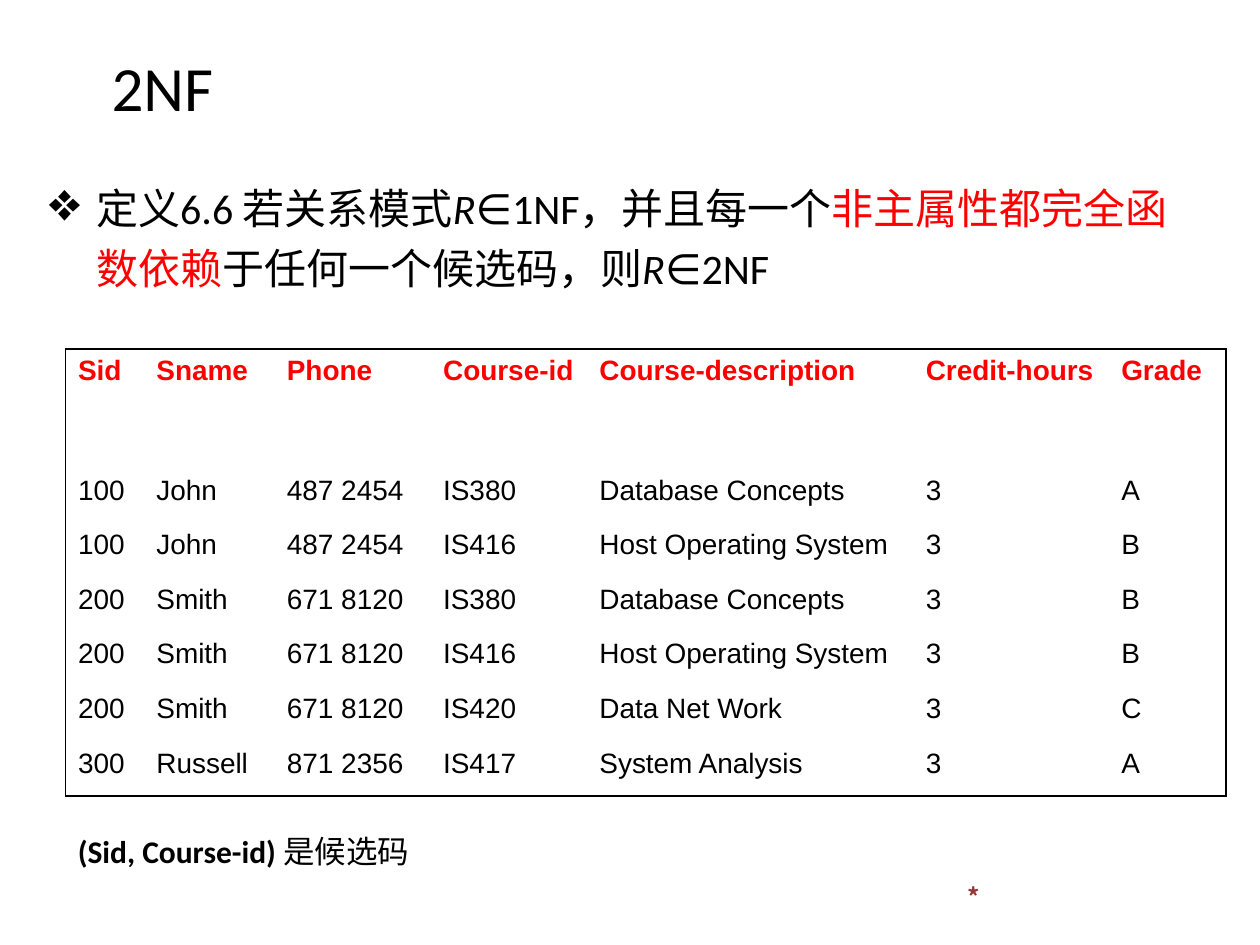
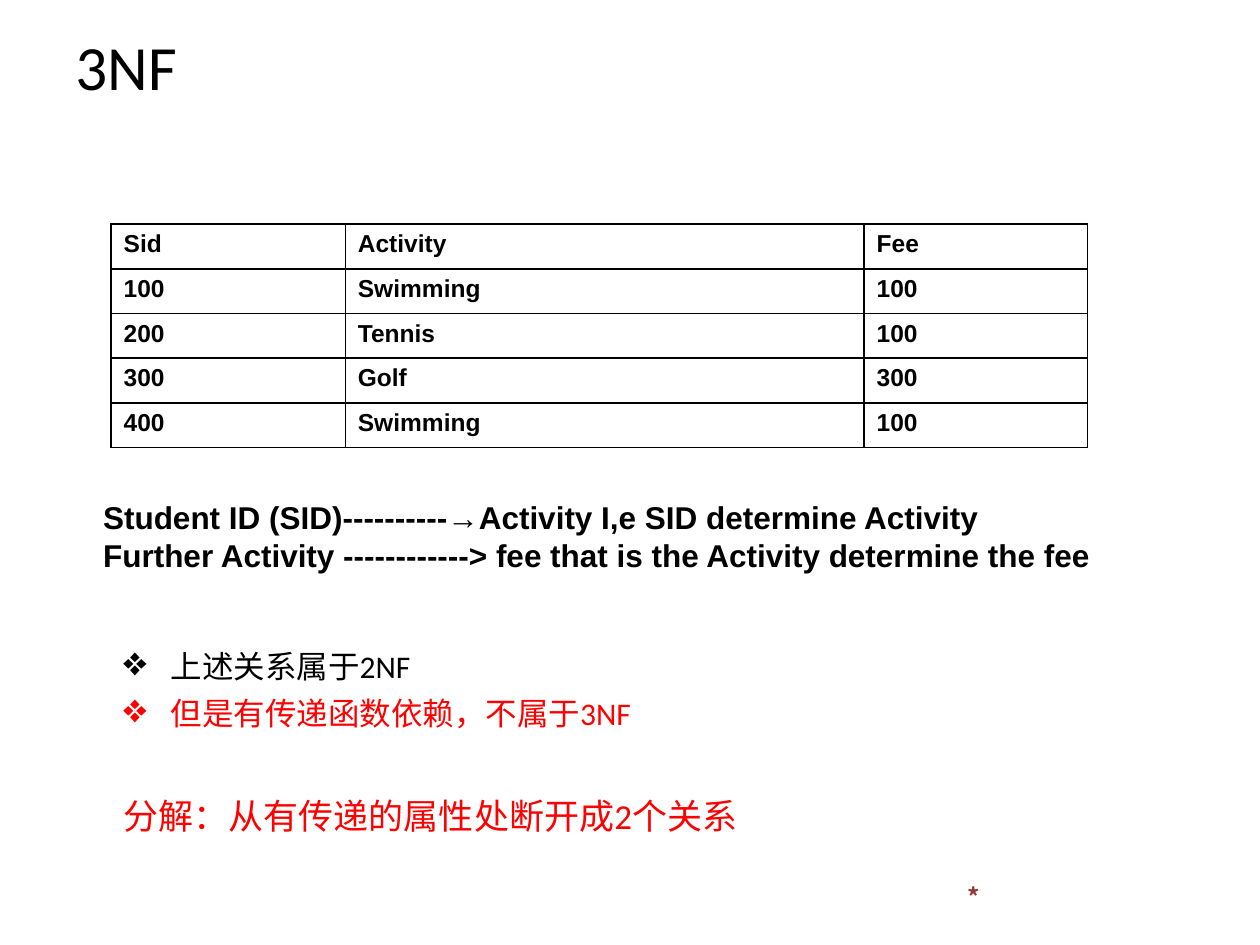
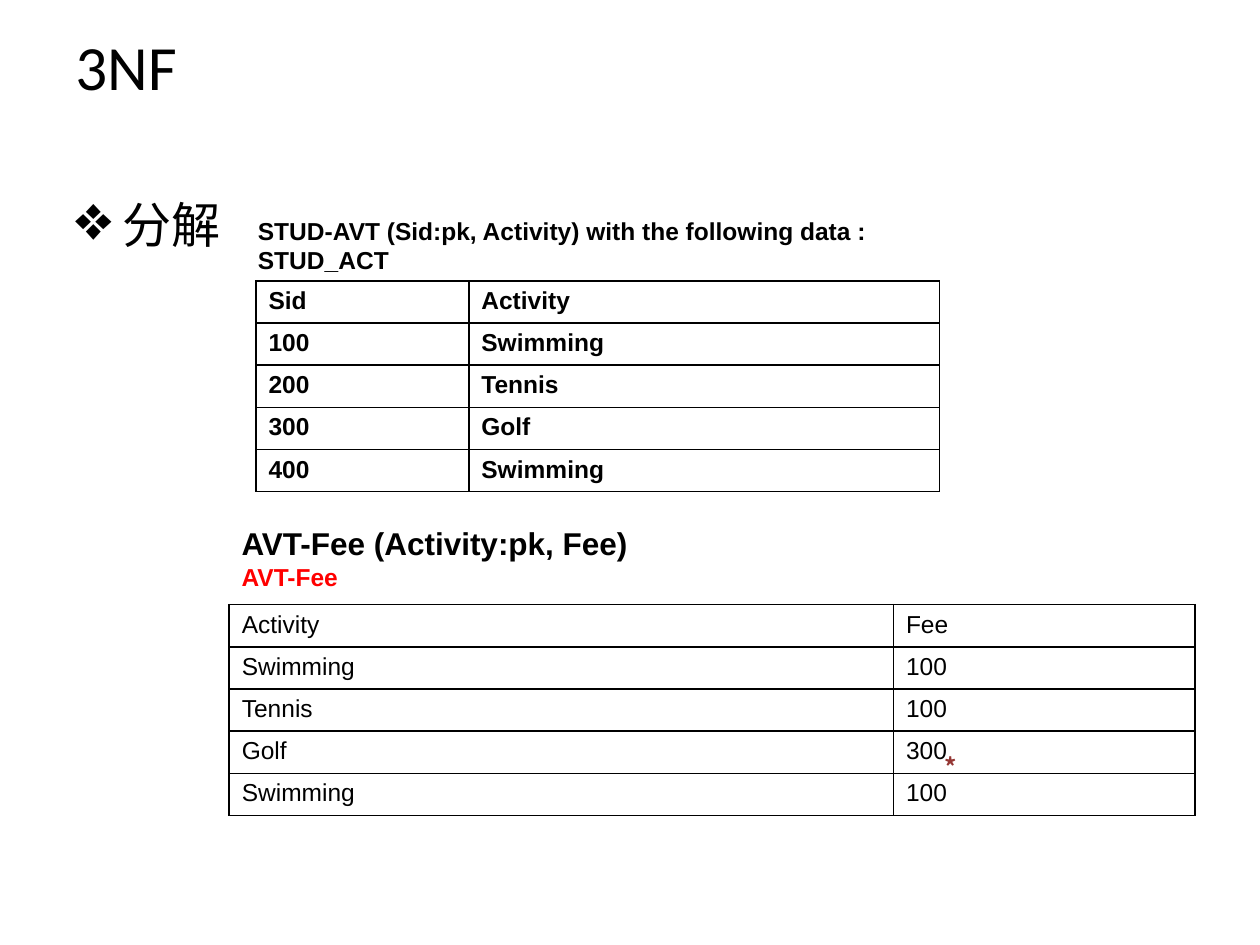
from dataclasses import dataclass

from lxml import etree
from pptx import Presentation
from pptx.dml.color import RGBColor
from pptx.enum.text import MSO_ANCHOR, PP_ALIGN
from pptx.oxml.ns import qn
from pptx.util import Cm, Pt

TOP, MIDDLE, LEFT = MSO_ANCHOR.TOP, MSO_ANCHOR.MIDDLE, PP_ALIGN.LEFT
BLANK_LAYOUT = 6
BULLET = "❖"
BULLET_INDENT = Cm(0.95)
BULLET_SCALE = "130000"


@dataclass(frozen=True)
class Theme:
    black: str = "000000"
    red: str = "FF0000"
    marker: str = "953734"
    body_font: str = "Calibri"
    table_font: str = "Arial"
    marker_font: str = "Noto Sans CJK SC"
    title_size: int = 36
    lead_size: int = 28
    definition_size: int = 24
    split_size: int = 20
    note_size: int = 18
    wide_table_size: int = 16
    small_size: int = 14
    border_width: int = 1


THEME = Theme()
RED = {"color": THEME.red}
ITALIC = {"italic": True}

# Content: a paragraph is a string, or a list of strings and (string, format) runs
DEFINITION = [[
    "定义6.6 若关系模式", ("R", ITALIC), "∈1NF，并且每一个",
    ("非主属性都完全函数依赖", RED), "于任何一个候选码，则", ("R", ITALIC), "∈2NF",
]]
CANDIDATE_KEY = [[("(Sid, Course-id) ", {"bold": True}), "是候选码"]]
ENROLMENTS = [
    ("Sid", "Sname", "Phone", "Course-id", "Course-description", "Credit-hours", "Grade"),
    ("100", "John", "487 2454", "IS380", "Database Concepts", "3", "A"),
    ("100", "John", "487 2454", "IS416", "Host Operating System", "3", "B"),
    ("200", "Smith", "671 8120", "IS380", "Database Concepts", "3", "B"),
    ("200", "Smith", "671 8120", "IS416", "Host Operating System", "3", "B"),
    ("200", "Smith", "671 8120", "IS420", "Data Net Work", "3", "C"),
    ("300", "Russell", "871 2356", "IS417", "System Analysis", "3", "A"),
]
ACTIVITY_FEES = [
    ("Sid", "Activity", "Fee"),
    ("100", "Swimming", "100"),
    ("200", "Tennis", "100"),
    ("300", "Golf", "300"),
    ("400", "Swimming", "100"),
]
STUDENT_ACTIVITIES = [row[:2] for row in ACTIVITY_FEES]
FEES = [row[1:] for row in ACTIVITY_FEES]
DEPENDENCIES = [
    "Student ID (SID)----------→Activity I,e SID determine Activity",
    "Further Activity ------------> fee that is the Activity determine the fee",
]
FINDINGS = ["上述关系属于2NF", [("但是有传递函数依赖，不属于3NF", RED)]]
SPLIT_RULE = ["分解：从有传递的属性处断开成2个关系"]
STUDENT_CAPTION = ["STUD-AVT (Sid:pk, Activity) with the following data :", "STUD_ACT"]
FEE_CAPTION = [
    "AVT-Fee (Activity:pk, Fee)",
    [("AVT-Fee", {"color": THEME.red, "size": THEME.small_size})],
]


# Text
def style_run(run, size, font=THEME.body_font, color=THEME.black, bold=False, italic=False):
    run.font.size = Pt(size)
    run.font.name = font
    run.font.color.rgb = RGBColor.from_string(color)
    run.font.bold = bold
    run.font.italic = italic


def add_bullet(paragraph):
    properties = paragraph._p.get_or_add_pPr()
    properties.set("marL", str(BULLET_INDENT))
    properties.set("indent", str(-BULLET_INDENT))
    etree.SubElement(properties, qn("a:buSzPct")).set("val", BULLET_SCALE)
    etree.SubElement(properties, qn("a:buChar")).set("char", BULLET)


def write_text(frame, paragraphs, bullet=False, spacing=None, **style):
    for index, content in enumerate(paragraphs):
        paragraph = frame.add_paragraph() if index else frame.paragraphs[0]
        if bullet:
            add_bullet(paragraph)
        paragraph.alignment = LEFT
        paragraph.line_spacing = spacing
        for item in [content] if isinstance(content, str) else content:
            text, changes = (item, {}) if isinstance(item, str) else item
            run = paragraph.add_run()
            run.text = text
            style_run(run, **{**style, **changes})


def add_text(slide, box, paragraphs, anchor=TOP, **text_format):
    frame = slide.shapes.add_textbox(*map(Cm, box)).text_frame
    frame.word_wrap = True
    frame.vertical_anchor = anchor
    write_text(frame, paragraphs, **text_format)


# Tables
def set_borders(cell, visible_sides):
    properties = cell._tc.get_or_add_tcPr()
    for position, side in enumerate("LRTB"):
        line = etree.Element(qn(f"a:ln{side}"), w=str(Pt(THEME.border_width)))
        if side in visible_sides:
            fill = etree.SubElement(line, qn("a:solidFill"))
            etree.SubElement(fill, qn("a:srgbClr")).set("val", THEME.black)
        else:
            etree.SubElement(line, qn("a:noFill"))
        properties.insert(position, line)


def outer_sides(row, column, row_count, column_count):
    edges = {"L": column == 0, "R": column == column_count - 1,
             "T": row == 0, "B": row == row_count - 1}
    return [side for side, on_edge in edges.items() if on_edge]


def add_grid(slide, corner, widths, heights, rows, frame_only=False,
             header_format=None, **text_format):
    shape = slide.shapes.add_table(len(rows), len(widths), *map(
        Cm, (*corner, sum(widths), sum(heights))))
    table = shape.table
    table.first_row = table.horz_banding = False
    for column, width in zip(table.columns, widths):
        column.width = Cm(width)
    for row, height in zip(table.rows, heights):
        row.height = Cm(height)
    for r, values in enumerate(rows):
        changes = header_format if header_format and r == 0 else {}
        for c, value in enumerate(values):
            cell = table.cell(r, c)
            cell.margin_right = 0
            cell.fill.background()
            set_borders(cell, outer_sides(r, c, len(rows), len(widths)) if frame_only else "LRTB")
            write_text(cell.text_frame, [value],
                       **{"font": THEME.table_font, **text_format, **changes})


# Shared slide parts
def add_slide(presentation, title, title_corner=(1.27, 0.12), title_width=22.86,
              marker_corner=(19.25, 17.65)):
    slide = presentation.slides.add_slide(presentation.slide_layouts[BLANK_LAYOUT])
    add_text(slide, (*marker_corner, 4.95, 0.84), ["*"], size=THEME.small_size,
             font=THEME.marker_font, color=THEME.marker, bold=True)
    add_text(slide, (*title_corner, title_width, 2.6), [title], anchor=MIDDLE,
             size=THEME.title_size, spacing=0.9)
    return slide


# Slides
def build_second_form(presentation):
    slide = add_slide(presentation, "2NF", title_corner=(2, 0.54), title_width=21.6)
    add_text(slide, (0.74, 3.35, 23.75, 15.5), DEFINITION, bullet=True, spacing=1.2,
             size=THEME.definition_size)
    add_grid(slide, (1.32, 7.04), (1.58, 2.63, 3.15, 3.15, 6.58, 3.94, 2.36),
             [2.41] + [1.1] * 6, ENROLMENTS, frame_only=True,
             header_format={"color": THEME.red, "bold": True}, size=THEME.wide_table_size)
    add_text(slide, (1.32, 16.64, 19.94, 1.02), CANDIDATE_KEY, size=THEME.note_size)


def build_third_form(presentation):
    slide = add_slide(presentation, "3NF")
    add_grid(slide, (2.24, 4.52), (4.72, 10.46, 4.5), [0.9] * 5, ACTIVITY_FEES,
             size=THEME.small_size, bold=True)
    add_text(slide, (1.83, 9.91, 20.8, 1.78), DEPENDENCIES, size=THEME.note_size,
             font=THEME.table_font, bold=True)
    add_text(slide, (2.24, 12.73, 12.7, 2.18), FINDINGS, bullet=True, spacing=1.25,
             size=THEME.note_size)
    add_text(slide, (2.24, 15.9, 12.98, 1.12), SPLIT_RULE, size=THEME.split_size,
             color=THEME.red)


def build_decomposition(presentation):
    slide = add_slide(presentation, "3NF", marker_corner=(18.8, 15.04))
    add_text(slide, (1.27, 3.51, 22.86, 15.14), ["分解"], bullet=True, spacing=1.25,
             size=THEME.lead_size)
    add_grid(slide, (5.16, 5.66), (4.29, 9.49), [0.85] * 5, STUDENT_ACTIVITIES,
             size=THEME.small_size, bold=True)
    add_text(slide, (4.62, 10.44, 16.05, 1.6), FEE_CAPTION, anchor=MIDDLE,
             size=THEME.note_size, font=THEME.table_font, bold=True)
    add_grid(slide, (4.62, 12.19), (13.39, 6.08), [0.85] * 5, FEES, size=THEME.small_size)
    add_text(slide, (4.95, 4.22, 19.48, 1.45), STUDENT_CAPTION, anchor=MIDDLE,
             size=THEME.small_size, font=THEME.table_font, bold=True)


def main():
    presentation = Presentation()
    presentation.slide_width, presentation.slide_height = Cm(25.4), Cm(19.05)
    build_second_form(presentation)
    build_third_form(presentation)
    build_decomposition(presentation)
    presentation.save("out.pptx")


if __name__ == "__main__":
    main()
